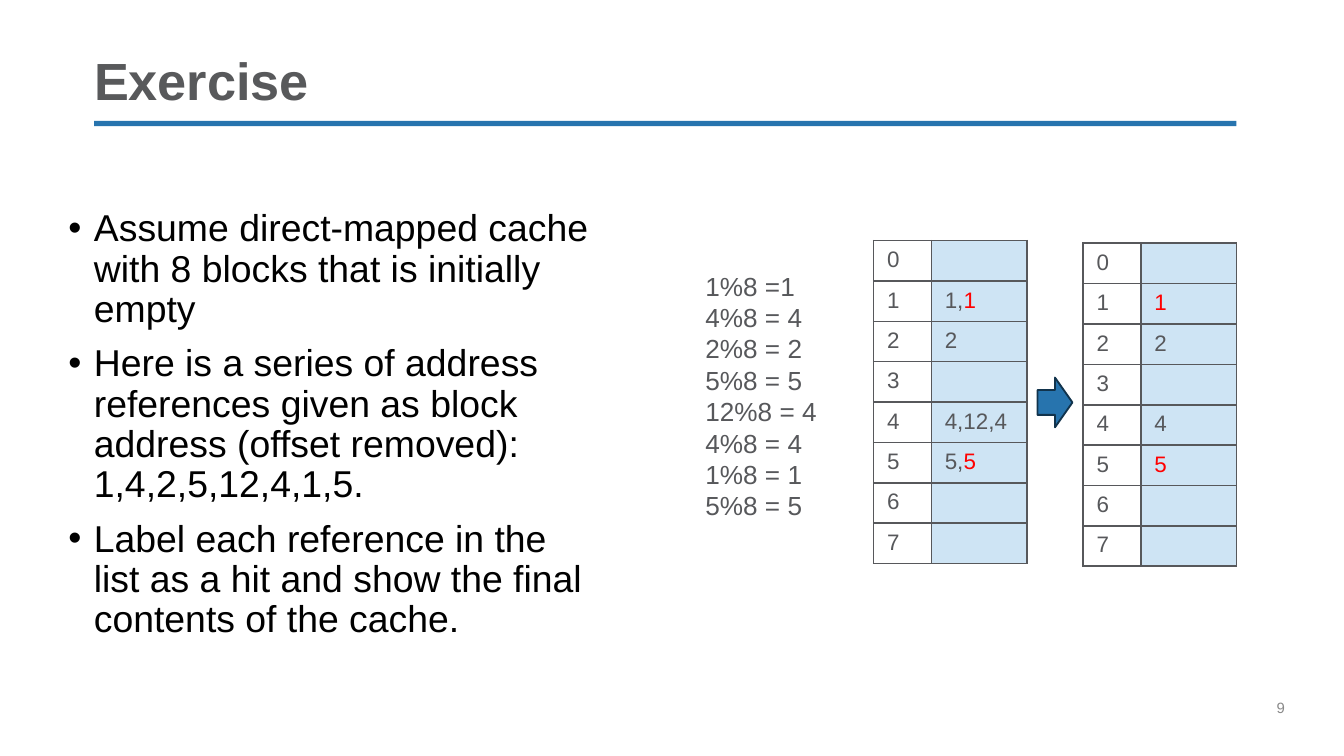
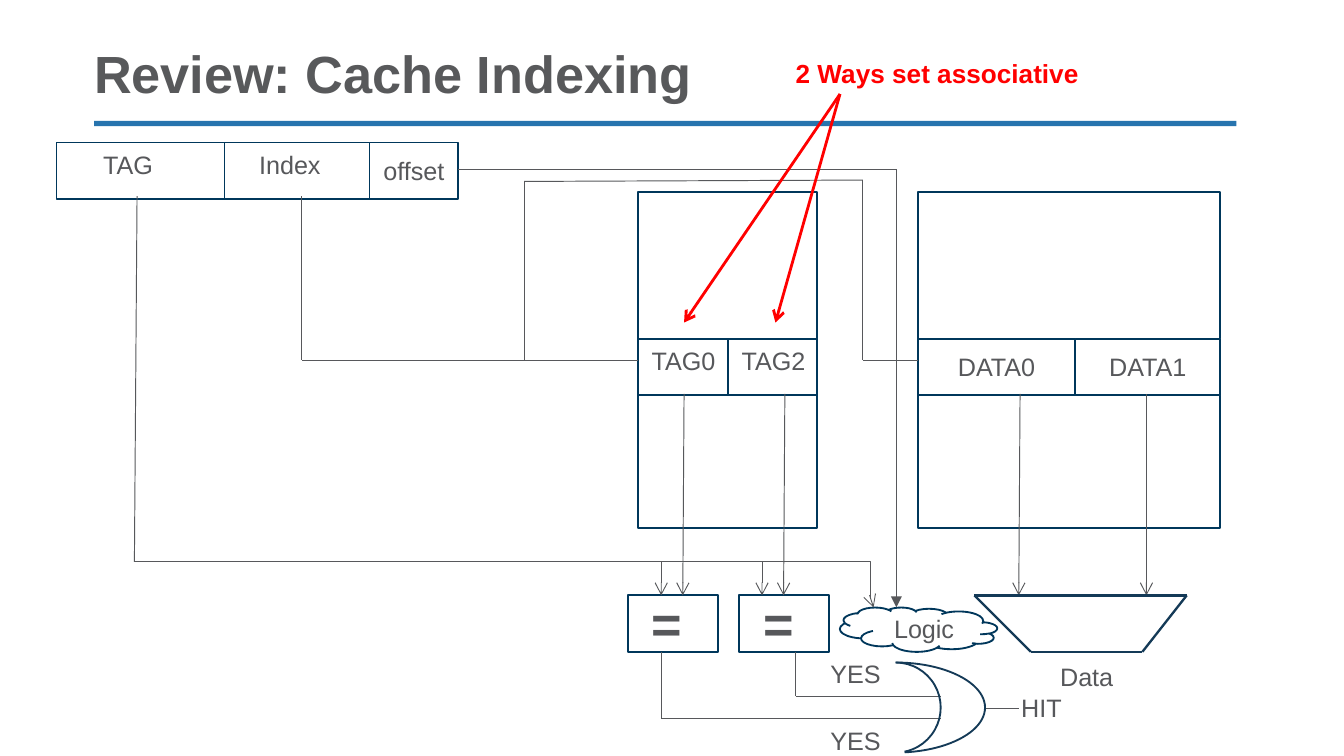
from itertools import pairwise
from lxml.etree import SubElement
from pptx import Presentation
from pptx.dml.color import RGBColor
from pptx.enum.shapes import MSO_CONNECTOR as Link, MSO_SHAPE as Kind
from pptx.enum.text import MSO_ANCHOR as Anchor, MSO_AUTO_SIZE as Auto, PP_ALIGN as Align
from pptx.oxml.ns import qn
from pptx.util import Cm, Pt

FONT = "Arial"
GREY, TITLE, BLUE, NAVY = "57585B", "58595B", "2774AE", "00375B"
INK, PALE, RED, WHITE = "143A57", "CEE4F4", "FF0000", "FFFFFF"
TEXT = 13.5

TASKS = [
    "Assume direct-mapped cache with 8 blocks that is initially empty",
    "Here is a series of address references given as block address (offset removed): 1,4,2,5,12,4,1,5.",
    "Label each reference in the list as a hit and show the final contents of the cache.",
]
SUMS = ["1%8 =1", "4%8 = 4", "2%8 = 2", "5%8 = 5", "12%8 = 4", "4%8 = 4", "1%8 = 1", "5%8 = 5"]
BLOCKS = 8
CACHES = [
    (6.5, 1.79, {1: ("1,", "1"), 2: ("2", ""), 4: ("4,12,4", ""), 5: ("5,", "5")}),
    (8.06, 1.81, {1: ("", "1"), 2: ("2", ""), 4: ("4", ""), 5: ("", "5")}),
]

TOP, ROW, HIGH = 1.06, 2.52, 0.42
GATE, BUS, SPLIT = 4.43, 4.18, 2.68
BOXES = [
    (0.42, TOP, 2.92, HIGH, WHITE, ""),
    (2.75, TOP, 0.66, HIGH, WHITE, "offset"),
    (1.67, TOP, 1.08, HIGH, WHITE, ""),
    (6.83, 1.43, 2.25, 2.5, WHITE, ""),
    (4.75, 1.43, 1.33, 2.5, WHITE, ""),
    (8, ROW, 1.08, HIGH, WHITE, "DATA1"),
    (6.83, ROW, 1.17, HIGH, WHITE, "DATA0"),
    (4.75, ROW, 1.33, HIGH, WHITE, ""),
    (4.75, ROW, 0.67, HIGH, None, ""),
    (4.67, GATE, 0.67, HIGH, None, ""),
    (5.5, GATE, 0.67, HIGH, None, ""),
]
LABELS = [
    ("Index", 1.83, TOP, 0.82, 0.4), ("TAG", 0.67, TOP, 0.7, 0.4),
    ("TAG0", 4.75, ROW, 0.68, 0.33), ("TAG2", 5.42, ROW, 0.68, 0.33),
    ("HIT", 7.5, 5.1, 0.61, 0.4), ("YES", 6.08, 5.35, 0.71, 0.4),
    ("YES", 6.08, 4.85, 0.71, 0.4), ("Data", 7.79, 4.87, 0.73, 0.4),
]
WIRES = [
    [(2.24, 1.46), (2.24, SPLIT)],
    [(2.25, SPLIT), (4.75, SPLIT)],
    [(3.9, SPLIT), (3.9, 1.35), (6.42, 1.34), (6.42, SPLIT), (6.83, SPLIT)],
    [(1.02, 1.46), (1, BUS), (5.67, BUS)],
    [(5.92, 4.85), (5.92, 5.18), (7, 5.18)],
    [(4.92, 4.85), (4.92, 5.35), (7, 5.35)],
    [(7.33, 5.27), (7.58, 5.27)],
    [(3.41, 1.26), (6.67, 1.26)],
]
ARROWS = [
    (5.09, 2.93, 5.08), (5.84, 2.93, 5.83), (4.92, BUS, 4.92),
    (5.67, BUS, 5.67), (7.59, 2.93, 7.58), (8.53, 2.93, 8.53),
]
MUX = [(7.25, GATE), (8.83, GATE), (8.5, 4.85), (7.67, 4.85), (7.25, GATE)]
ARCS = [(6, 1.33), (6.33, 0.67)]
WAYS = [5.09, 5.77]


def unit(inch):
    return Cm(inch * 2.54)


def place(*spots):
    return [unit(spot) for spot in spots]


def tint(code):
    return RGBColor.from_string(code)


def style(para, size, color, bold=False):
    font = para.font
    font.name, font.size, font.bold = FONT, Pt(size), bold
    font.color.rgb = tint(color)


def write(slide, lines, spot, size=TEXT, color=GREY, bold=False, pad=True, wrap=True, grow=False):
    box = slide.shapes.add_textbox(*place(*spot))
    frame = box.text_frame
    frame.word_wrap = wrap
    if grow:
        frame.auto_size = Auto.SHAPE_TO_FIT_TEXT
    if not pad:
        frame.margin_left = frame.margin_right = frame.margin_top = frame.margin_bottom = 0
    for num, line in enumerate(lines):
        para = frame.add_paragraph() if num else frame.paragraphs[0]
        para.text = line
        style(para, size, color, bold)
    return frame


def draw(slide, kind, spot, fill=None, edge=None, text=""):
    shape = slide.shapes.add_shape(kind, *place(*spot))
    shape.shadow.inherit = False
    if fill:
        shape.fill.solid()
        shape.fill.fore_color.rgb = tint(fill)
    else:
        shape.fill.background()
    if edge:
        shape.line.color.rgb = tint(edge)
        shape.line.width = Pt(1)
    else:
        shape.line.fill.background()
    if text:
        frame = shape.text_frame
        frame.vertical_anchor = Anchor.MIDDLE
        para = frame.paragraphs[0]
        para.text, para.alignment = text, Align.CENTER
        style(para, TEXT, GREY)
    return shape


def wire(slide, start, end, color=GREY, width=0.5, tip=None, kind=Link.STRAIGHT):
    link = slide.shapes.add_connector(kind, *place(*start, *end))
    link.line.color.rgb = tint(color)
    link.line.width = Pt(width)
    props = link._element.spPr
    if tip:
        SubElement(props.find(qn("a:ln")), qn("a:tailEnd"), type=tip)
    SubElement(props, qn("a:effectLst"))
    return link


def start(deck, title, top):
    slide = deck.slides.add_slide(deck.slide_layouts[6])
    draw(slide, Kind.RECTANGLE, (0.7, 0.9, 8.5, 0.04), BLUE)
    frame = write(slide, [title], (0.7, top, 8.5, 0.43), 28, TITLE, True, pad=False)
    frame.vertical_anchor = Anchor.BOTTOM
    frame.paragraphs[0].line_spacing = 0.9
    return slide


def border(cell):
    props = cell._tc.get_or_add_tcPr()
    for num, side in enumerate(("a:lnL", "a:lnR", "a:lnT", "a:lnB")):
        line = props.makeelement(qn(side), {"w": str(Pt(1))})
        fill = SubElement(line, qn("a:solidFill"))
        SubElement(fill, qn("a:srgbClr"), val=GREY)
        props.insert(num, line)


def cache(slide, left, top, held):
    grid = slide.shapes.add_table(BLOCKS, 2, *place(left, top, 1.14, 2.4)).table
    grid.first_row = grid.horz_banding = False
    for col, width in zip(grid.columns, (0.43, 0.71)):
        col.width = unit(width)
    for num in range(BLOCKS):
        grid.rows[num].height = unit(0.3)
        for cell, parts in zip(grid.rows[num].cells, ((str(num), ""), held.get(num, ("", "")))):
            para = cell.text_frame.paragraphs[0]
            style(para, 12, GREY)
            for text, color in zip(parts, (GREY, RED)):
                if text:
                    run = para.add_run()
                    run.text = text
                    run.font.color.rgb = tint(color)
            border(cell)
        label, value = grid.rows[num].cells
        label.fill.background()
        value.fill.solid()
        value.fill.fore_color.rgb = tint(PALE)


def exercise(deck):
    slide = start(deck, "Exercise", 0.4)
    write(slide, ["9"], (9.5, 5.2, 0.5, 0.4), 8, "898989", pad=False)
    frame = write(slide, [], (0.41, 1.51, 4.15, 3.42))
    for num, task in enumerate(TASKS):
        para = frame.add_paragraph() if num else frame.paragraphs[0]
        para.text = task
        props = para._p.get_or_add_pPr()
        props.set("marL", str(unit(0.19)))
        props.set("indent", str(-unit(0.19)))
        SubElement(props, qn("a:buFont"), typeface=FONT)
        SubElement(props, qn("a:buChar"), char="•")
        para.line_spacing = 0.9
        para.space_before = Pt(7.5 if num else 0)
        style(para, 20, "000000")
    write(slide, SUMS, (5.15, 1.96, 1.14, 1.99), 14)
    for left, top, held in CACHES:
        cache(slide, left, top, held)
    draw(slide, Kind.RIGHT_ARROW, (7.72, 2.81, 0.26, 0.37), BLUE, "11334C")


def review(deck):
    slide = start(deck, "Review: Cache Indexing", 0.35)
    for *spot, fill, text in BOXES:
        draw(slide, Kind.RECTANGLE, spot, fill, NAVY, text)
    for route in WIRES:
        for here, there in pairwise(route):
            wire(slide, here, there)
    for left, top, end in ARROWS:
        wire(slide, (left, top), (end, GATE), tip="arrow")
    for here, there in pairwise(MUX):
        wire(slide, here, there, INK, 1.25)
    for left, width in ARCS:
        arc = draw(slide, Kind.ARC, (left, 4.93, width, 0.67), edge=INK)
        arc.adjustments[0], arc.adjustments[1] = 162, 47.14
    for text, *spot in LABELS:
        write(slide, [text], spot, wrap=False, grow=True)
    for left in (4.75, 5.58):
        write(slide, ["="], (left, 4.35, 0.43, 0.57), 28, bold=True, wrap=False, grow=True)
    cloud = draw(slide, Kind.CLOUD, (6.25, 4.52, 1.17, 0.33), WHITE, NAVY, "Logic")
    cloud._element.spPr.xfrm.set("flipH", "1")
    wire(slide, (6.67, 1.26), (6.67, 4.52), tip="triangle")
    bend = wire(slide, (5.67, BUS), (6.5, 4.52), tip="arrow", kind=Link.ELBOW)
    guides = bend._element.spPr.find(qn("a:prstGeom")).find(qn("a:avLst"))
    SubElement(guides, qn("a:gd"), name="adj1", fmla="val 97200")
    for end in WAYS:
        wire(slide, (6.25, 0.7), (end, 2.4), RED, 1.5, "arrow")
    write(slide, ["2 Ways set associative"], (5.92, 0.43, 2.35, 0.24), 14, RED, True, pad=False)


def main():
    deck = Presentation()
    deck.slide_width = Cm(25.4)
    deck.slide_height = deck.slide_width * 9 // 16
    exercise(deck)
    review(deck)
    deck.save("out.pptx")


if __name__ == "__main__":
    main()
